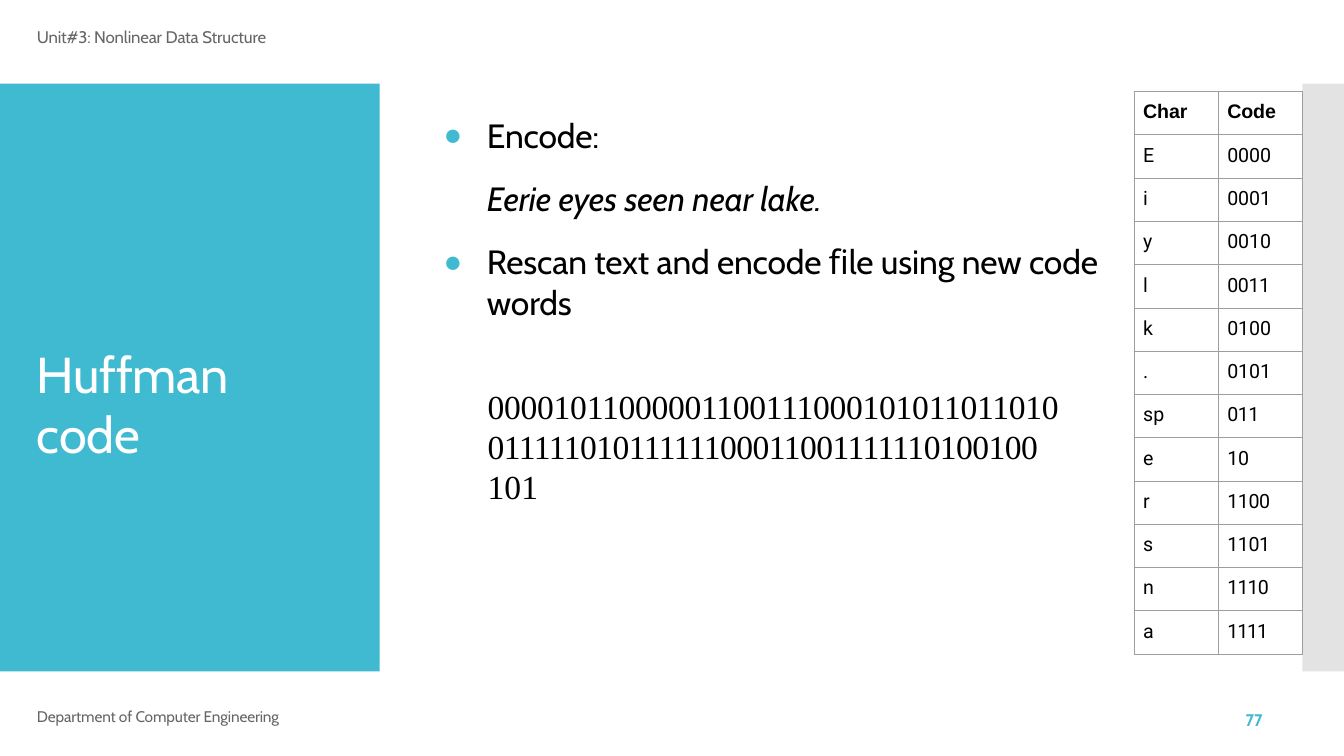
from dataclasses import dataclass
from typing import Optional

from lxml.etree import SubElement
from pptx import Presentation
from pptx.dml.color import RGBColor
from pptx.enum.shapes import MSO_SHAPE
from pptx.enum.text import MSO_ANCHOR, MSO_AUTO_SIZE, PP_ALIGN
from pptx.oxml.ns import qn
from pptx.util import Cm, Pt

COLOURS = {
    "accent": "40BAD1",
    "edge": "C8C8C8",
    "muted": "666666",
    "grid": "9E9E9E",
    "ink": "000000",
    "paper": "FFFFFF",
}


@dataclass
class Span:
    text: str
    size: float
    font: str = "Cabin"
    colour: str = "ink"
    bold: bool = False
    italic: bool = False
    spacing: float = 0


@dataclass
class Para:
    spans: list[Span]
    indent: float = 0.02
    hanging: float = 0
    before: float = 0
    line: Optional[float] = None
    bullet: str = ""


@dataclass
class Block:
    left: float
    top: float
    width: float
    height: float
    paras: list[Para]
    inset: float = 0


@dataclass
class Panel:
    left: float
    width: float
    colour: str
    opacity: int


@dataclass
class CodeRow:
    char: str
    code: str
    spacing: float = -0.1


PANELS = [Panel(0, 9.57, "accent", 100), Panel(32.82, 1.05, "edge", 50)]

TITLE = Block(0.91, 8.61, 7.47, 1.6, [
    Para([Span("Huffman ", 36, colour="paper", spacing=-0.2),
          Span("code", 36, colour="paper", spacing=-0.1)], before=1),
], inset=0.03)

BODY = Block(11.13, 2.29, 18.49, 4.83, [
    Para([Span("Encode:", 24, spacing=-0.1)], 1.14, -1.09, 17.2, bullet="●"),
    Para([Span("Eerie eyes seen near lake.", 24, italic=True, spacing=-0.1)], 1.14, 0, 16.2),
    Para([Span("Rescan text and encode ﬁle using new code words", 24, spacing=-0.1)],
         1.14, -1.09, 16.2, bullet="●"),
], inset=0.61)

BITS = [
    ("00001011000001100111000101011011010", -0.2),
    ("01111101011111100011001111110100100", -0.4),
    ("101", 0),
]

TEXT_BOXES = [
    Block(0.91, 0.64, 5.84, 0.58, [
        Para([Span("Unit#3: Nonlinear Data Structure", 12, colour="muted", spacing=-0.1)], before=1),
    ], inset=0.03),
    Block(0.91, 17.88, 6.32, 0.46, [
        Para([Span("Department of Computer Engineering", 11, colour="muted", spacing=-0.1)], line=11.4),
    ]),
    Block(31.29, 17.96, 0.69, 0.48, [
        Para([Span("77", 12, colour="accent", bold=True)], 0.1, line=12.3),
    ]),
    Block(12.27, 9.7, 14.71, 3.1, [
        Para([Span(bits, 24, "Times New Roman", spacing=spacing)], line=28.6)
        for bits, spacing in BITS
    ], inset=0.03),
]

CODE_ROWS = [
    CodeRow("Char", "Code"),
    CodeRow("E", "0000"),
    CodeRow("i", "0001"),
    CodeRow("y", "0010"),
    CodeRow("l", "0011", -0.3),
    CodeRow("k", "0100"),
    CodeRow(".", "0101"),
    CodeRow("sp", "011", -0.4),
    CodeRow("e", "10"),
    CodeRow("r", "1100", -0.3),
    CodeRow("s", "1101", -0.3),
    CodeRow("n", "1110", -0.6),
    CodeRow("a", "1111", -0.8),
]


def rgb(name: str) -> RGBColor:
    return RGBColor.from_string(COLOURS[name])


def add_span(para, item: Span) -> None:
    span = para.add_run()
    span.text = item.text
    font = span.font
    font.name, font.size = item.font, Pt(item.size)
    font.bold, font.italic = item.bold, item.italic
    font.color.rgb = rgb(item.colour)
    span._r.get_or_add_rPr().set("spc", str(round(item.spacing * 100)))


def write_paras(frame, items: list[Para]) -> None:
    for index, item in enumerate(items):
        para = frame.add_paragraph() if index else frame.paragraphs[0]
        para.alignment = PP_ALIGN.LEFT
        para.space_before, para.space_after = Pt(item.before), Pt(0)
        para.line_spacing = Pt(item.line) if item.line else 1.0
        props = para._p.get_or_add_pPr()
        props.set("marL", str(Cm(item.indent)))
        props.set("indent", str(Cm(item.hanging)))
        if item.bullet:
            tint = SubElement(props, qn("a:buClr"))
            SubElement(tint, qn("a:srgbClr"), val=COLOURS["accent"])
            SubElement(props, qn("a:buSzPct"), val="92000")
            SubElement(props, qn("a:buChar"), char=item.bullet)
        else:
            SubElement(props, qn("a:buNone"))
        for span in item.spans:
            add_span(para, span)


def fill_block(box, block: Block) -> None:
    box.left, box.top = Cm(block.left), Cm(block.top)
    box.width, box.height = Cm(block.width), Cm(block.height)
    frame = box.text_frame
    frame.word_wrap = True
    frame.auto_size = MSO_AUTO_SIZE.SHAPE_TO_FIT_TEXT
    frame.vertical_anchor = MSO_ANCHOR.TOP
    frame.margin_left = frame.margin_right = frame.margin_bottom = 0
    frame.margin_top = Cm(block.inset)
    write_paras(frame, block.paras)


def add_panel(page, panel: Panel) -> None:
    box = page.shapes.add_shape(
        MSO_SHAPE.RECTANGLE, Cm(panel.left), Cm(2.11), Cm(panel.width), Cm(14.81))
    box.shadow.inherit = False
    box.line.fill.background()
    box.fill.solid()
    box.fill.fore_color.rgb = rgb(panel.colour)
    if panel.opacity < 100:
        tint = box.element.spPr.find(qn("a:solidFill"))[0]
        SubElement(tint, qn("a:alpha"), val=str(panel.opacity * 1000))


def style_cell(cell, span: Span) -> None:
    cell.margin_left = cell.margin_right = cell.margin_bottom = 0
    cell.margin_top = Cm(0.23)
    write_paras(cell.text_frame, [Para([span], 0.23, before=6.2)])
    props = cell._tc.get_or_add_tcPr()
    for side in ("lnL", "lnR", "lnT", "lnB"):
        border = SubElement(props, qn(f"a:{side}"), w=str(Pt(0.75)))
        SubElement(SubElement(border, qn("a:solidFill")), qn("a:srgbClr"), val=COLOURS["grid"])
    cell.fill.background()


def add_code_table(page, rows: list[CodeRow]) -> None:
    table = page.shapes.add_table(
        len(rows), 2, Cm(28.58), Cm(2.31), Cm(4.24), Cm(1.09 * len(rows))).table
    table.first_row = table.horz_banding = False
    for index, row in enumerate(rows):
        header = index == 0
        font = "Arial" if header else "Roboto"
        table.rows[index].height = Cm(1.09)
        spacings = (-0.1 if header else 0, row.spacing)
        for column, (text, spacing) in enumerate(zip((row.char, row.code), spacings)):
            style_cell(table.cell(index, column), Span(text, 14, font, bold=header, spacing=spacing))


def main() -> None:
    deck = Presentation()
    deck.slide_width, deck.slide_height = Cm(33.87), Cm(19.05)
    page = deck.slides.add_slide(deck.slide_layouts[1])
    page.background.fill.solid()
    page.background.fill.fore_color.rgb = rgb("paper")
    for panel in PANELS:
        add_panel(page, panel)
    for box, block in ((page.shapes.title, TITLE), (page.placeholders[1], BODY)):
        page.shapes.element.append(box.element)
        fill_block(box, block)
    add_code_table(page, CODE_ROWS)
    for block in TEXT_BOXES:
        fill_block(page.shapes.add_textbox(0, 0, 0, 0), block)
    deck.save("out.pptx")


if __name__ == "__main__":
    main()
